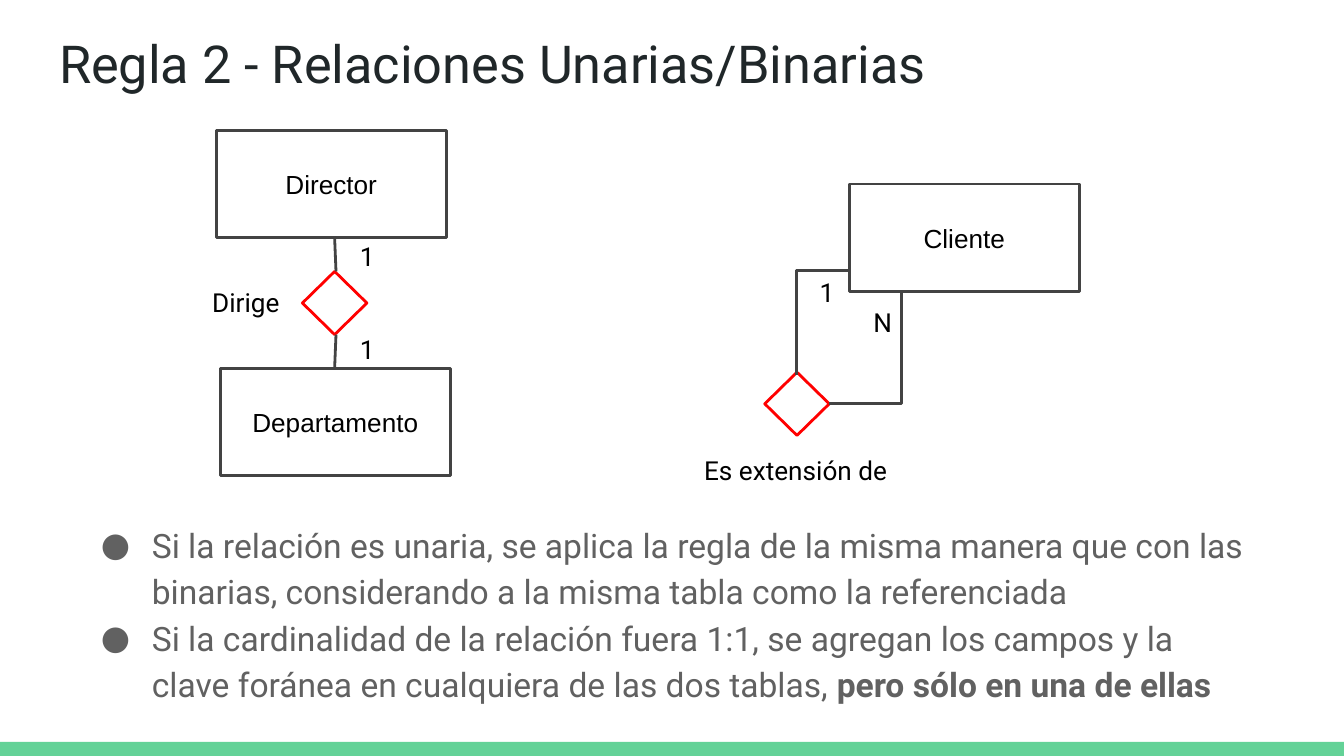
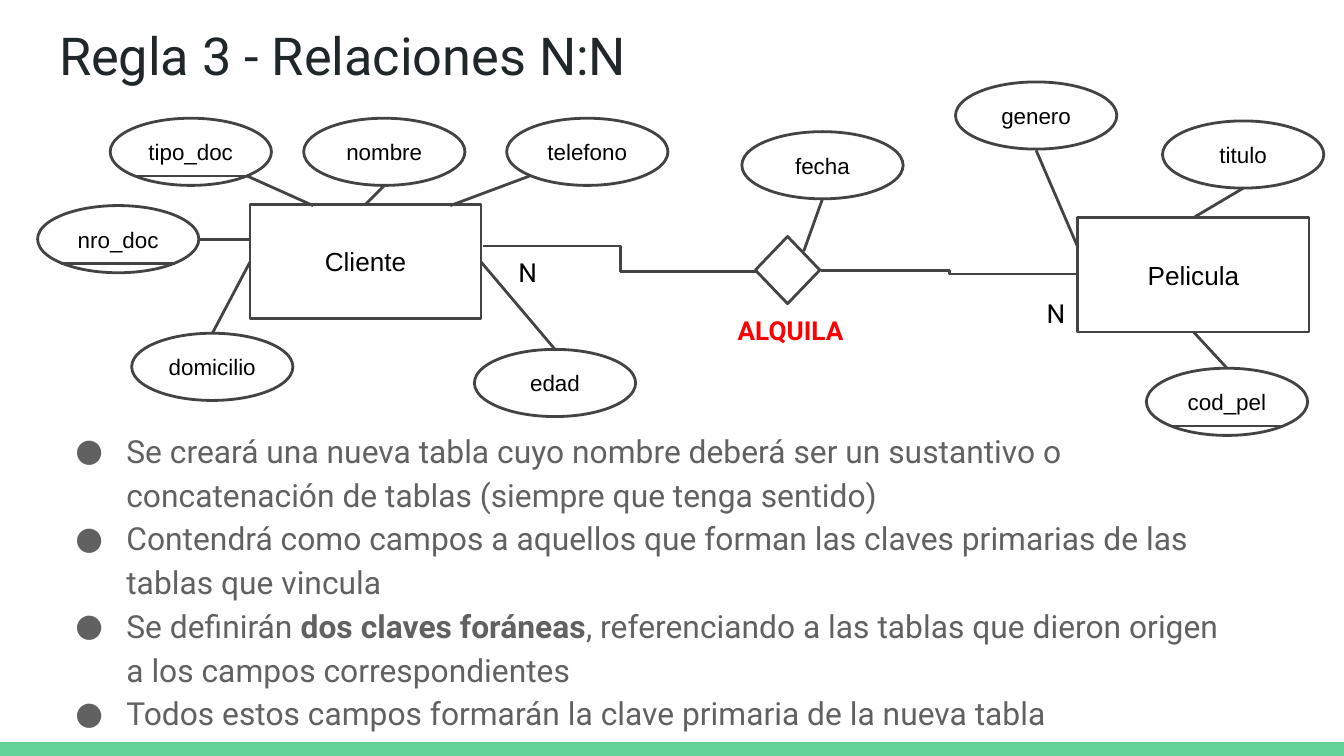
from dataclasses import dataclass
from typing import NamedTuple

from lxml import etree
from pptx import Presentation
from pptx.dml.color import RGBColor
from pptx.enum import shapes, text
from pptx.oxml.ns import qn
from pptx.util import Inches, Pt


# Theme and grid
@dataclass(frozen=True)
class Theme:
    background: str = "FFFFFF"
    band: str = "63D297"
    title: str = "202729"
    body: str = "616161"
    ink: str = "000000"
    line: str = "434343"
    accent: str = "FF0000"
    text_font: str = "Roboto"
    shape_font: str = "Arial"
    title_size: float = 28
    label_size: float = 14
    attribute_size: float = 12
    line_width: float = 1.5
    inset: float = 0.1


THEME = Theme()
WIDTH, HEIGHT = Inches(10), Inches(5.625)
COLUMN, ROW = WIDTH / 100, HEIGHT / 56.25  # all lengths below are columns and rows
ATTRIBUTE_WIDTH, ATTRIBUTE_HEIGHT = 12, 5
DIAMOND_WIDTH = 4.8
STRAIGHT, CORNER, STEP = "line", "bentConnector2", "bentConnector3"


class Area(NamedTuple):
    left: float
    top: float
    width: float
    height: float

    def lengths(self) -> tuple[int, ...]:
        return tuple(round(value * unit) for value, unit in zip(self, (COLUMN, ROW) * 2))


class Link(NamedTuple):
    start: tuple[float, float]
    end: tuple[float, float]
    route: str = STRAIGHT


class Entity(NamedTuple):
    name: str
    area: Area


class Diamond(NamedTuple):
    left: float
    top: float
    height: float
    color: str


class Attribute(NamedTuple):
    name: str
    left: float
    top: float
    link: Link
    is_key: bool = False


class Label(NamedTuple):
    name: str
    area: Area
    color: str = THEME.ink
    bold: bool = False


class Lesson(NamedTuple):
    title: str
    title_top: float
    body_area: Area
    body_size: float
    bullets: list[str]  # spans between asterisks are bold
    entities: list[Entity]
    diamonds: list[Diamond]
    attributes: list[Attribute]
    links: list[Link]
    labels: list[Label]


# Text helpers
def style_font(font, name: str, size: float, color: str, bold: bool = False) -> None:
    font.name, font.size, font.bold = name, Pt(size), bold
    font.color.rgb = RGBColor.from_string(color)


def prepare_frame(frame, anchor=text.MSO_ANCHOR.TOP) -> None:
    frame.word_wrap = True
    frame.auto_size = text.MSO_AUTO_SIZE.NONE
    frame.vertical_anchor = anchor
    frame.margin_left = frame.margin_right = Inches(THEME.inset)
    frame.margin_top = frame.margin_bottom = Inches(THEME.inset)


def write_line(frame, words: str, align, font: str, size: float, color: str,
               bold: bool = False) -> None:
    frame.text = words
    para = frame.paragraphs[0]
    para.alignment = align
    style_font(para.runs[0].font, font, size, color, bold)


def add_bullet(para) -> None:
    properties = para._p.get_or_add_pPr()
    properties.set("marL", str(Inches(0.5)))
    properties.set("indent", str(Inches(-0.38)))
    color = etree.SubElement(properties, qn("a:buClr"))
    etree.SubElement(color, qn("a:srgbClr"), val=THEME.body)
    etree.SubElement(properties, qn("a:buFont"), typeface=THEME.text_font)
    etree.SubElement(properties, qn("a:buChar"), char="●")


def place(box, area: Area) -> None:
    box.left, box.top, box.width, box.height = area.lengths()


# Diagram parts
def draw_outline(page, kind, area: Area, color: str = THEME.line):
    box = page.shapes.add_shape(kind, *area.lengths())
    box.shadow.inherit = False
    box.fill.background()
    box.line.color.rgb = RGBColor.from_string(color)
    box.line.width = Pt(THEME.line_width)
    return box


def draw_named(page, kind, area: Area, name: str, size: float) -> None:
    frame = draw_outline(page, kind, area).text_frame
    prepare_frame(frame, text.MSO_ANCHOR.MIDDLE)
    write_line(frame, name, text.PP_ALIGN.CENTER, THEME.shape_font, size, THEME.ink)


def draw_link(page, link: Link) -> None:
    kind = shapes.MSO_CONNECTOR.STRAIGHT if link.route == STRAIGHT else shapes.MSO_CONNECTOR.ELBOW
    ends = Area(*link.start, *link.end).lengths()
    connector = page.shapes.add_connector(kind, *ends)
    connector.line.color.rgb = RGBColor.from_string(THEME.line)
    connector.line.width = Pt(THEME.line_width)
    properties = connector.element.spPr
    properties.find(qn("a:prstGeom")).set("prst", link.route)
    etree.SubElement(properties, qn("a:effectLst"))


def draw_attribute(page, attribute: Attribute) -> None:
    left, top = attribute.left, attribute.top
    area = Area(left, top, ATTRIBUTE_WIDTH, ATTRIBUTE_HEIGHT)
    draw_named(page, shapes.MSO_SHAPE.OVAL, area, attribute.name, THEME.attribute_size)
    draw_link(page, attribute.link)
    if attribute.is_key:
        draw_link(page, Link((left + 1.75, top + 4.3), (left + 10.25, top + 4.3)))


def draw_label(page, label: Label) -> None:
    frame = page.shapes.add_textbox(*label.area.lengths()).text_frame
    prepare_frame(frame)
    write_line(frame, label.name, text.PP_ALIGN.LEFT, THEME.text_font,
               THEME.label_size, label.color, label.bold)


# Shared slide parts
def move_band_to_master(deck, page) -> None:
    band = page.shapes.add_shape(shapes.MSO_SHAPE.RECTANGLE, *Area(0, 55.2, 100, 1.05).lengths())
    band.shadow.inherit = False
    band.fill.solid()
    band.fill.fore_color.rgb = RGBColor.from_string(THEME.band)
    band.line.fill.background()
    band.element.nvSpPr.cNvPr.set("id", "20")
    deck.slide_master.shapes.element.insert(2, band.element)


def fill_title(page, lesson: Lesson) -> None:
    title = page.shapes.title
    place(title, Area(3.4, lesson.title_top, 93.2, 6.3))
    prepare_frame(title.text_frame)
    write_line(title.text_frame, lesson.title, text.PP_ALIGN.LEFT,
               THEME.text_font, THEME.title_size, THEME.title)


def fill_body(page, lesson: Lesson) -> None:
    body = page.placeholders[1]
    place(body, lesson.body_area)
    frame = body.text_frame
    prepare_frame(frame)
    for index, bullet in enumerate(lesson.bullets):
        para = frame.add_paragraph() if index else frame.paragraphs[0]
        add_bullet(para)
        para.line_spacing = 1.15
        para.space_before = para.space_after = Pt(0)
        for position, words in enumerate(bullet.split("*")):
            if words:
                span = para.add_run()
                span.text = words
                style_font(span.font, THEME.text_font, lesson.body_size,
                           THEME.body, position % 2 == 1)


def draw_lesson(page, lesson: Lesson) -> None:
    fill_title(page, lesson)
    fill_body(page, lesson)
    for entity in lesson.entities:
        draw_named(page, shapes.MSO_SHAPE.RECTANGLE, entity.area, entity.name, THEME.label_size)
    for diamond in lesson.diamonds:
        area = Area(diamond.left, diamond.top, DIAMOND_WIDTH, diamond.height)
        draw_outline(page, shapes.MSO_SHAPE.FLOWCHART_DECISION, area, diamond.color)
    for attribute in lesson.attributes:
        draw_attribute(page, attribute)
    for link in lesson.links:
        draw_link(page, link)
    for label in lesson.labels:
        draw_label(page, label)


# Content
UNARY = Lesson(
    title="Regla 2 - Relaciones Unarias/Binarias",
    title_top=1.3,
    body_area=Area(5.3, 37.6, 89.3, 5.5),
    body_size=18,
    bullets=[
        "Si la relación es unaria, se aplica la regla de la misma manera que con las "
        "binarias, considerando a la misma tabla como la referenciada",
        "Si la cardinalidad de la relación fuera 1:1, se agregan los campos y la "
        "clave foránea en cualquiera de las dos tablas, *pero sólo en una de ellas*",
    ],
    entities=[
        Entity("Director", Area(16.1, 9.7, 17.1, 8)),
        Entity("Departamento", Area(16.4, 27.4, 17.1, 8)),
        Entity("Cliente", Area(63.2, 13.7, 17.1, 8)),
    ],
    diamonds=[Diamond(22.5, 20.2, 4.7, THEME.accent), Diamond(56.9, 27.7, 4.7, THEME.accent)],
    attributes=[],
    links=[
        Link((25, 20.2), (24.9, 17.7)),
        Link((25, 24.9), (24.9, 27.4)),
        Link((61.7, 30), (67.1, 21.8), CORNER),
        Link((63.1, 20.15), (59.25, 27.9), CORNER),
    ],
    labels=[
        Label("Dirige", Area(14.8, 20.3, 8.5, 3.5)),
        Label("1", Area(25.8, 16.9, 3, 4.7)),
        Label("1", Area(25.8, 23.8, 3, 4.7)),
        Label("N", Area(64, 21.8, 3, 4.7)),
        Label("1", Area(60, 19.6, 3, 4.7)),
        Label("Es extensión de", Area(51.4, 32.8, 16.5, 4.3)),
    ],
)

MANY_TO_MANY = Lesson(
    title="Regla 3 - Relaciones N:N",
    title_top=0.7,
    body_area=Area(3.4, 30.7, 89.3, 5.5),
    body_size=17,
    bullets=[
        "Se creará una nueva tabla cuyo nombre deberá ser un sustantivo o "
        "concatenación de tablas (siempre que tenga sentido)",
        "Contendrá como campos a aquellos que forman las claves primarias de las "
        "tablas que vincula",
        "Se definirán *dos claves foráneas*, referenciando a las tablas que dieron origen "
        "a los campos correspondientes",
        "Todos estos campos formarán la clave primaria de la nueva tabla",
    ],
    entities=[
        Entity("Cliente", Area(18.6, 15.2, 17.2, 8.5)),
        Entity("Pelicula", Area(80.2, 16.2, 17.2, 8.5)),
    ],
    diamonds=[Diamond(56.2, 17.6, 5, THEME.line)],
    attributes=[
        Attribute("tipo_doc", 8.2, 8.8, Link((18.4, 13.1), (23.3, 15.3)), is_key=True),
        Attribute("nro_doc", 2.8, 15.3, Link((14.9, 17.8), (18.6, 17.8)), is_key=True),
        Attribute("domicilio", 9.8, 24.8, Link((18.6, 19.5), (15.8, 24.8))),
        Attribute("edad", 35.3, 26, Link((41.3, 26), (35.8, 19.5))),
        Attribute("telefono", 37.7, 8.8, Link((33.5, 15.3), (39.4, 13.1))),
        Attribute("nombre", 22.6, 8.8, Link((28.6, 13.8), (27.2, 15.2))),
        Attribute("fecha", 55.2, 9.8, Link((59.8, 18.7), (61.2, 14.8))),
        Attribute("genero", 71.1, 6.1, Link((80.2, 18.4), (77.1, 11.2))),
        Attribute("titulo", 86.5, 9, Link((92.5, 14), (88.8, 16.2))),
        Attribute("cod_pel", 85.3, 27.4, Link((91.3, 27.4), (88.8, 24.7)), is_key=True),
    ],
    links=[
        Link((35.9, 18.3), (56.4, 20.2), STEP),
        Link((61.1, 20.15), (80.2, 20.4), STEP),
    ],
    labels=[
        Label("N", Area(37.6, 18.1, 3, 5)),
        Label("N", Area(76.9, 21.1, 3, 5)),
        Label("ALQUILA", Area(53.9, 22.4, 12.7, 5), THEME.accent, bold=True),
    ],
)


def main() -> None:
    deck = Presentation()
    deck.slide_width, deck.slide_height = WIDTH, HEIGHT
    fill = deck.slide_master.background.fill
    fill.solid()
    fill.fore_color.rgb = RGBColor.from_string(THEME.background)
    pages = [deck.slides.add_slide(deck.slide_layouts[1]) for _ in range(2)]
    move_band_to_master(deck, pages[0])
    for page, lesson in zip(pages, (UNARY, MANY_TO_MANY)):
        draw_lesson(page, lesson)
    deck.save("out.pptx")


if __name__ == "__main__":
    main()
